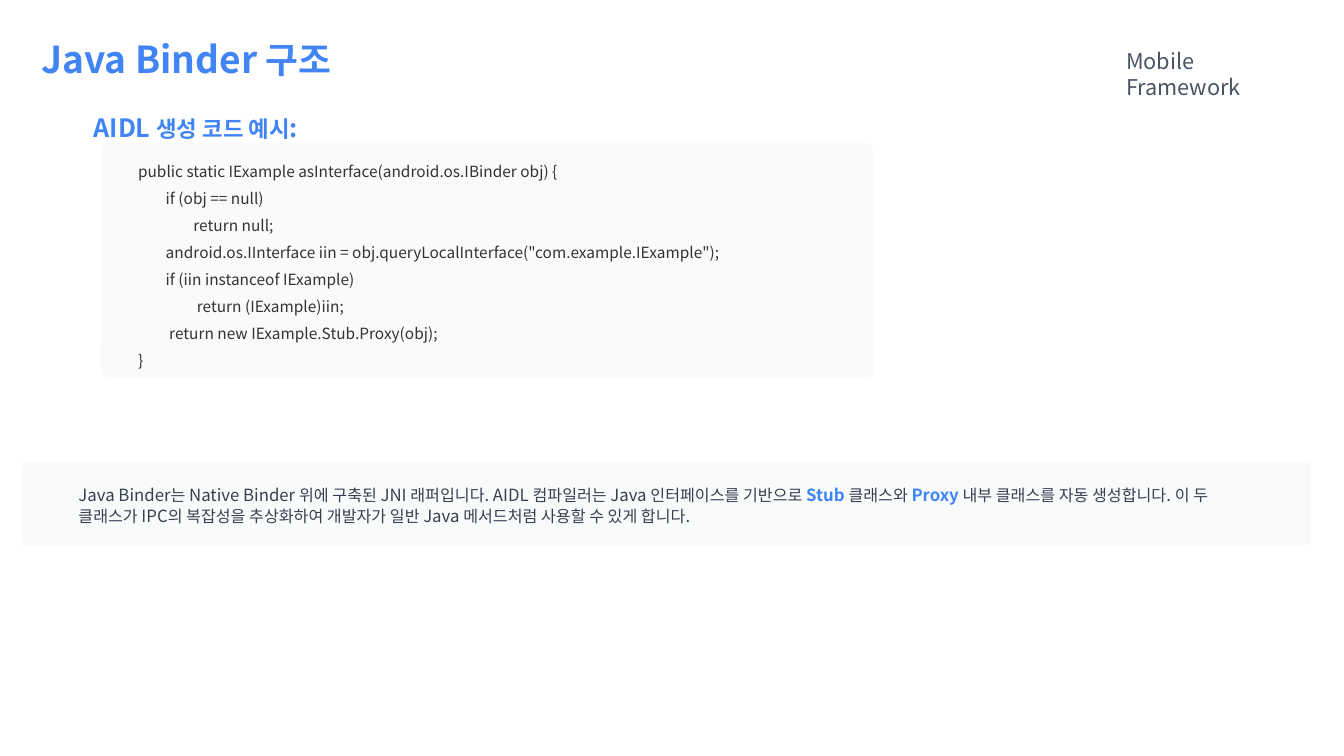
"""Builds the Java Binder structure slide."""
from lxml.etree import SubElement
from pptx import Presentation
from pptx.dml.color import RGBColor as RGB
from pptx.enum.shapes import MSO_SHAPE as SHAPE
from pptx.enum.text import MSO_AUTO_SIZE as AUTO
from pptx.oxml.ns import qn
from pptx.util import Inches, Pt

COLORS = {"blue": "4185F4", "panel": "F9FAFA",
          "label": "4A5462", "code": "333333", "body": "374050"}

CODE = """public static IExample asInterface(android.os.IBinder obj) {
        if (obj == null)
                return null;
        android.os.IInterface iin = obj.queryLocalInterface("com.example.IExample");
        if (iin instanceof IExample)
                 return (IExample)iin;
         return new IExample.Stub.Proxy(obj);
}"""

SUMMARY = ["Java Binder", "는 ", "Native Binder ", "위에 구축된 ", "JNI ", "래퍼입니다",
           ". AIDL ", "컴파일러는 ", "Java ", "인터페이스를 기반으로 ", "Stub ",
           "클래스와 ", "Proxy ", "내부 클래스를 자동 생성합니다", ". ",
           "이 두 클래스가 ", "IPC", "의 복잡성을 추상화하여 개발자가 일반 ", "Java ",
           "메서드처럼 사용할 수 있게 합니다", "."]


def is_hangul(text):
    return any("가" <= c <= "힣" for c in text)


class Deck:
    font = "Noto Sans CJK KR"

    def __init__(self):
        self.prs = Presentation()
        self.prs.slide_width, self.prs.slide_height = Inches(13.33), Inches(7.5)
        self.s = self.prs.slides.add_slide(self.prs.slide_layouts[6])

    def panel(self, box, radius):
        sp = self.s.shapes.add_shape(SHAPE.ROUNDED_RECTANGLE, *map(Inches, box))
        sp.shadow.inherit = False
        sp.fill.solid()
        sp.fill.fore_color.rgb = RGB.from_string(COLORS["panel"])
        sp.line.fill.background()
        sp.adjustments[0] = radius / box[3]

    def textbox(self, box, left=0.1, top=0.05):
        tf = self.s.shapes.add_textbox(*map(Inches, box)).text_frame
        tf.word_wrap = True
        tf.auto_size = AUTO.SHAPE_TO_FIT_TEXT
        tf.margin_left = tf.margin_right = Inches(left)
        tf.margin_top, tf.margin_bottom = Inches(top), Inches(0.05 if left else 0)
        return tf

    def style(self, p, color, size=None, bold=False):
        p.font.name = self.font
        p.font.bold = bold
        p.font.color.rgb = RGB.from_string(COLORS[color])
        if size:
            p.font.size = Pt(size)
        SubElement(p.font._rPr, qn("a:ea")).set("typeface", self.font)

    def mixed(self, box, parts, color, latin, hangul, bold=False,
              accents=(), spacing=None, **margins):
        p = self.textbox(box, **margins).paragraphs[0]
        self.style(p, color, bold=bold)
        p.line_spacing = spacing
        for text in parts:
            r = p.add_run()
            r.text = text
            r.font.size = Pt(hangul if is_hangul(text) else latin)
            if text.strip() in accents:
                r.font.bold = True
                r.font.color.rgb = RGB.from_string(COLORS["blue"])

    def lines(self, box, text, color, size, spacing=None, **margins):
        tf = self.textbox(box, **margins)
        for i, line in enumerate(text.split("\n")):
            p = tf.add_paragraph() if i else tf.paragraphs[0]
            p.add_run().text = line
            self.style(p, color, size)
            if i:
                p.line_spacing = spacing


def main():
    deck = Deck()
    deck.panel((0.21, 4.58, 12.79, 0.83), 0.05)
    deck.panel((1, 1.42, 7.67, 2.33), 0.1)
    deck.mixed((0.41, 0.35, 5.95, 0.46), ["Java Binder ", "구조"], "blue",
               26.5, 25.5, bold=True, left=0, top=0.01)
    deck.lines((11.17, 0.46, 1.77, 0.54), "Mobile Framework", "label", 15.5,
               left=0, top=0.01)
    deck.lines((1.37, 1.52, 7.2, 2.13), CODE, "code", 11, spacing=1.46,
               left=0, top=0.09)
    deck.mixed((0.68, 4.75, 11.69, 0.51), SUMMARY, "body", 12, 11.5,
               accents=("Stub", "Proxy"), spacing=1.04)
    deck.mixed((0.83, 1.07, 2.36, 0.4), ["AIDL ", "생성 코드 예시", ":"], "blue",
               18, 16, bold=True)
    deck.prs.save("out.pptx")


if __name__ == "__main__":
    main()
